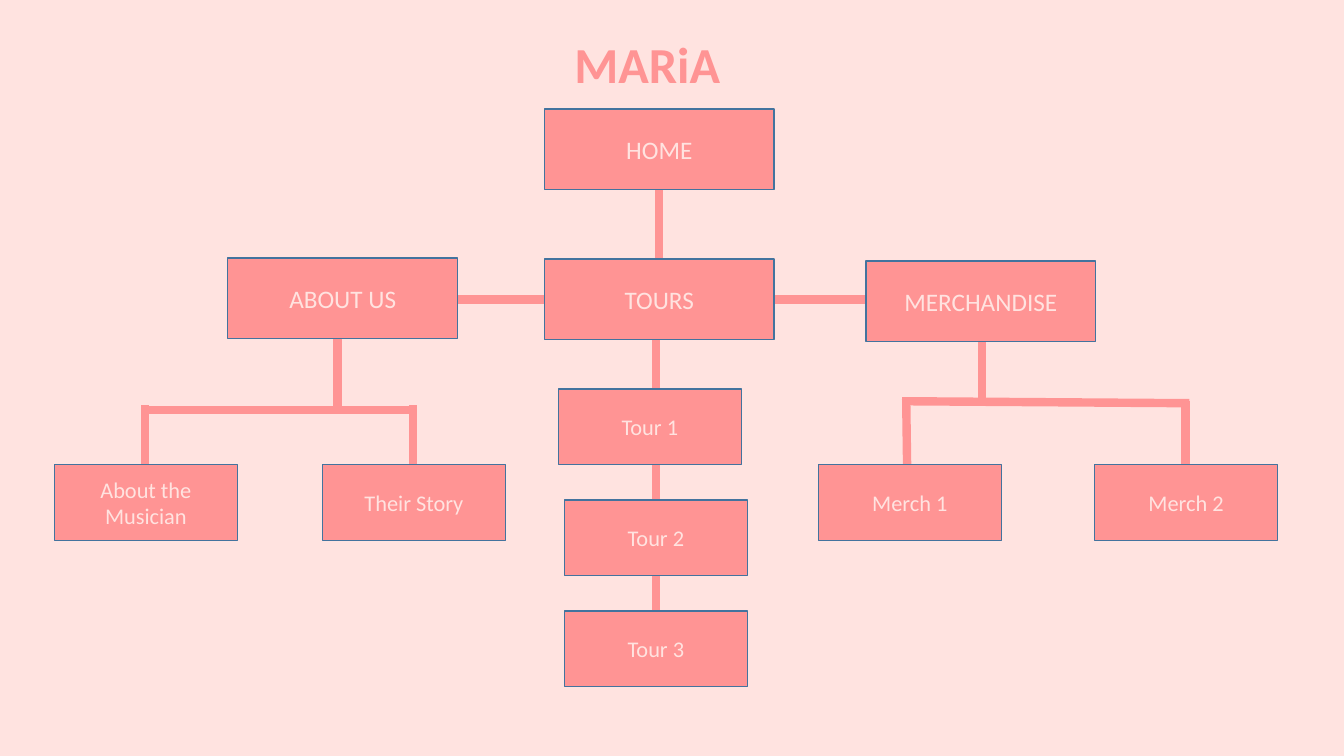
from pptx import Presentation
from pptx.dml.color import RGBColor
from pptx.enum.shapes import MSO_CONNECTOR as Link, MSO_SHAPE as Form
from pptx.enum.text import MSO_ANCHOR as Anchor, MSO_AUTO_SIZE as Fit, PP_ALIGN as Align
from pptx.oxml.ns import qn
from pptx.util import Pt
from lxml.etree import SubElement as sub

PINK = RGBColor(0xFF, 0x94, 0x94)
PALE = RGBColor(0xFF, 0xE3, 0xE0)
BLUE = RGBColor(0x43, 0x73, 0x9E)
PAGE = (960, 540)
HEAD = (164.2, 57.6)
LEAF = (130.6, 54)
STEP = 79.2


def put(item, vals):
    """Set attributes of an item from a dict."""
    for key, val in vals.items():
        setattr(item, key, val)


def write(shape, text, frame, size, tint, align, bold=False):
    """Fill a shape with one styled line of text."""
    put(shape.text_frame, {"word_wrap": True, **frame})
    para = shape.text_frame.paragraphs[0]
    para.alignment = align
    run = para.add_run()
    run.text = text
    put(run.font, {"name": "Calibri", "size": Pt(size), "bold": bold})
    run.font.color.rgb = tint


def rect(slide, x, y, size, fill, edge):
    """Draw a filled rectangle with a thin edge."""
    shape = slide.shapes.add_shape(Form.RECTANGLE, *map(Pt, (x, y, *size)))
    shape.shadow.inherit = False
    shape.fill.solid()
    shape.fill.fore_color.rgb = fill
    shape.line.color.rgb = edge
    shape.line.width = Pt(1)
    return shape


def node(slide, text, x, y, size=LEAF, font=16):
    """Draw one labelled box of the site map."""
    shape = rect(slide, x, y, size, PINK, BLUE)
    write(shape, text, {"vertical_anchor": Anchor.MIDDLE}, font, PALE, Align.CENTER)


def link(slide, *ends):
    """Draw one thick line between two points."""
    line = slide.shapes.add_connector(Link.STRAIGHT, *map(Pt, ends))
    line.line.color.rgb = PINK
    line.line.width = Pt(6)
    sub(line._element.spPr, qn("a:effectLst"))


def title(slide, x, y, w, h):
    """Write the site name."""
    box = slide.shapes.add_textbox(*map(Pt, (x, y, w, h)))
    write(box, "MARiA", {"auto_size": Fit.SHAPE_TO_FIT_TEXT}, 36, PINK, Align.LEFT, True)


def trunk(slide, x, y):
    """Draw the home and tours boxes with their links."""
    mid, row = x + HEAD[0] / 2, y + 107.2
    link(slide, mid, y + HEAD[1], mid, row)
    for start in (x - 108.7, x + HEAD[0]):
        link(slide, start, y + 136, start + 128, y + 136)
    link(slide, x + 79.9, row + 45.4, x + 79.9, row + 95)
    for text, top in (("TOURS", row), ("HOME", y)):
        node(slide, text, x, top, HEAD, 18)


def tours(slide, x, y):
    """Draw the column of tour pages."""
    for i in (1, 2):
        top = y + i * STEP - 36.7
        link(slide, x + 65.5, top, x + 65.5, top + 50)
    for i, shift in enumerate((-4.3, 0, 0)):
        node(slide, f"Tour {i + 1}", x + shift, y + i * STEP)


def branch(slide, x, y, head, inset, lines, leaves, gap, drop):
    """Draw a head box, its forked lines and its two leaves."""
    for x1, y1, x2, y2 in lines:
        link(slide, x + x1, y + y1, x + x2, y + y2)
    for i, text in enumerate(leaves):
        node(slide, text, x + i * gap, y + drop)
    node(slide, head, x + inset, y, HEAD, 18)


def main():
    """Build the site map slide."""
    deck = Presentation()
    put(deck, {"slide_width": Pt(PAGE[0]), "slide_height": Pt(PAGE[1])})
    slide = deck.slides.add_slide(deck.slide_layouts[6])
    rect(slide, 0, 0, PAGE, PALE, PALE)
    title(slide, 403.2, 20.2, 127.4, 51.1)
    trunk(slide, 388.8, 77.8)
    tours(slide, 403.2, 277.9)
    fork = [(64.8, 108.7, 256.3, 108.7), (256.3, 105.1, 256.3, 155.5),
            (64.8, 105.1, 64.8, 155.5), (202.3, 57.6, 202.3, 108)]
    branch(slide, 38.9, 184.3, "ABOUT US", 123.8, fork,
           ("About the Musician", "Their Story"), 191.5, 147.6)
    fork = [(59.8, 100.1, 265, 101.5), (62.7, 98.6, 63.4, 150.5),
            (262.1, 100.1, 262.1, 150.5), (116.7, 51.1, 116.7, 101.5)]
    branch(slide, 584.6, 186.5, "MERCHANDISE", 33.9, fork,
           ("Merch 1", "Merch 2"), 197.3, 145.4)
    deck.save("out.pptx")


if __name__ == "__main__":
    main()
